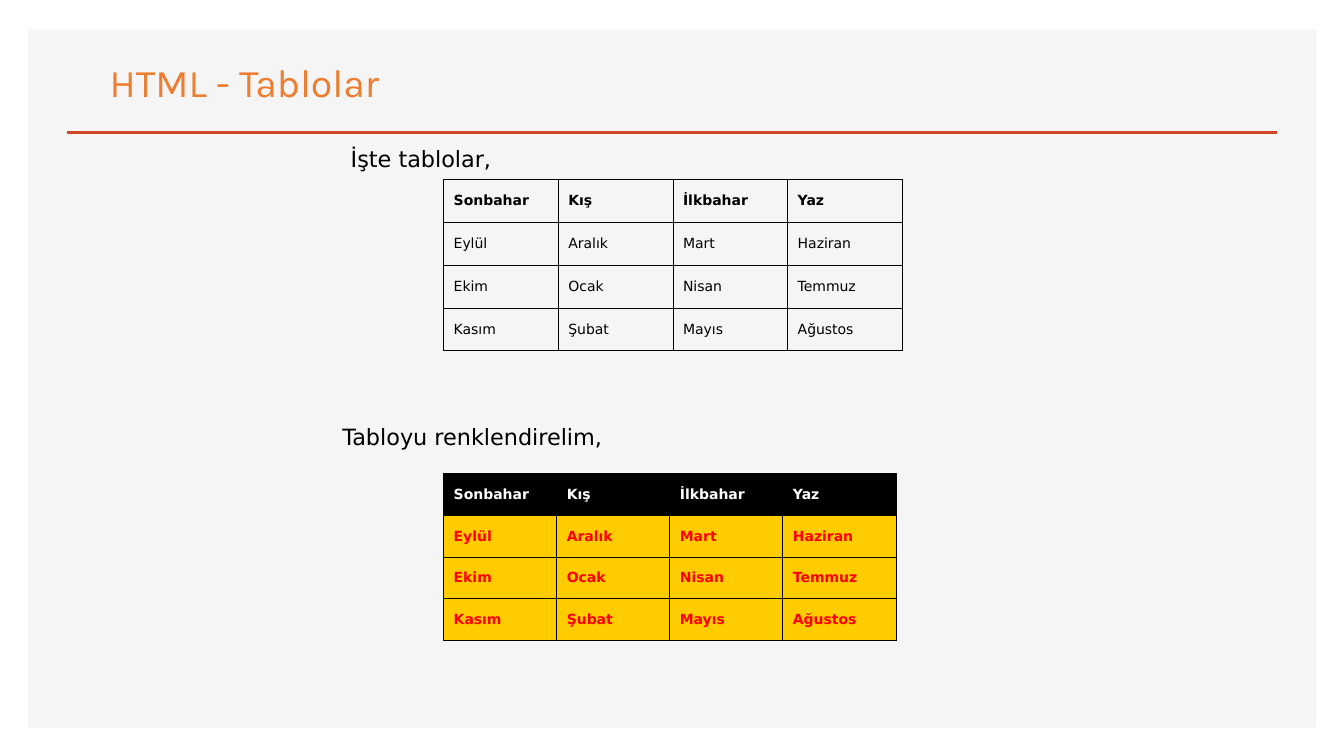
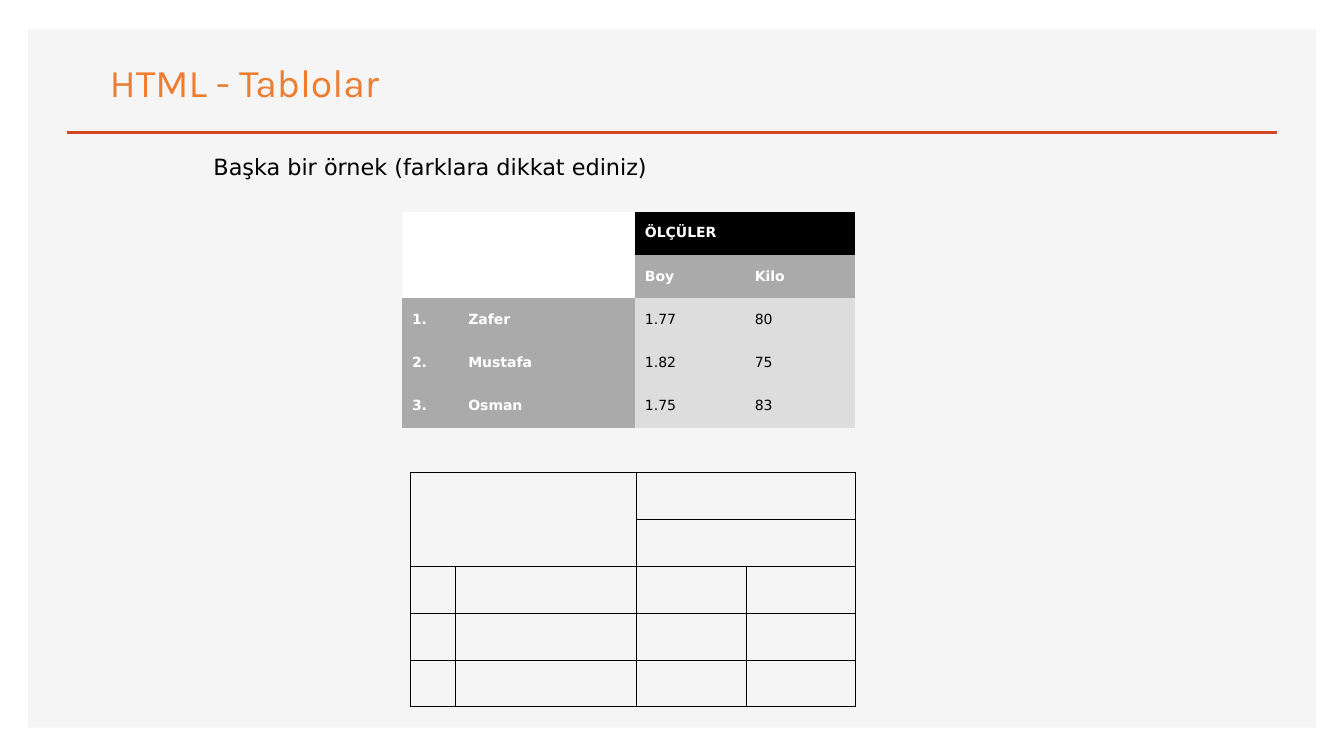
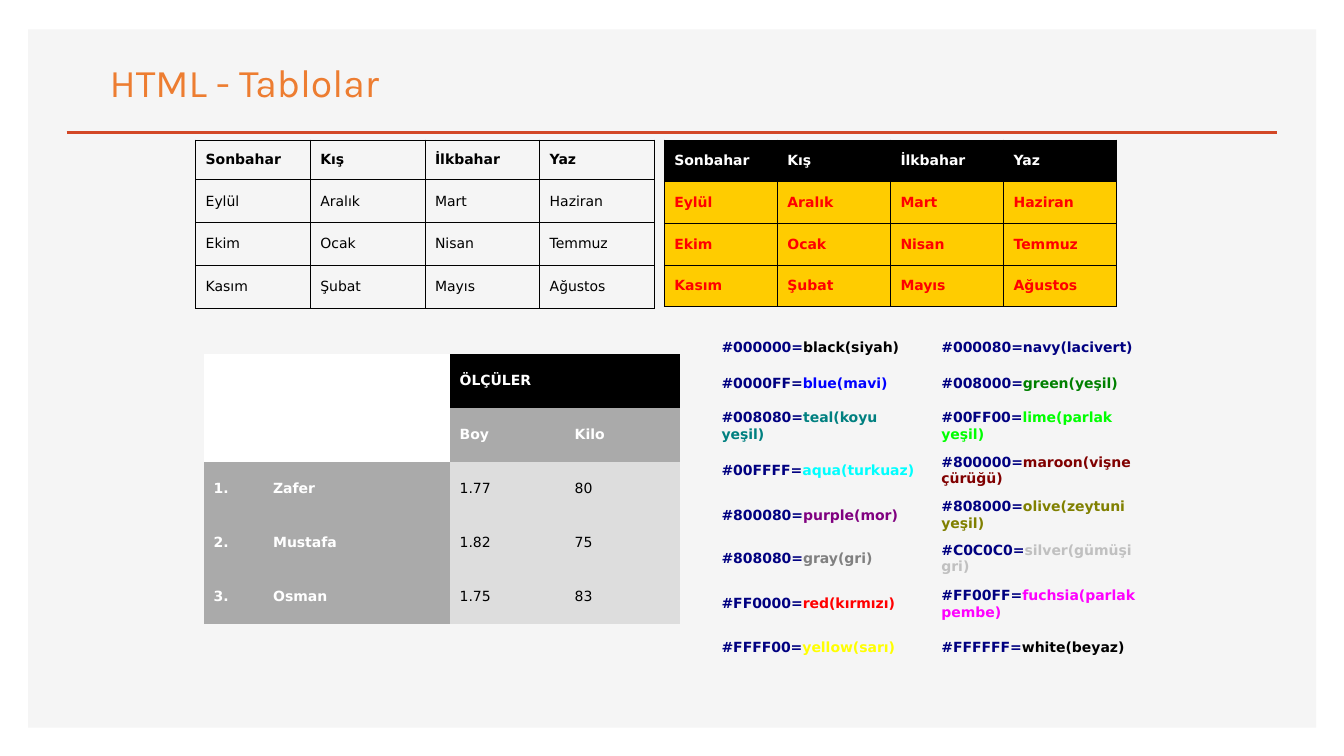
import dataclasses

import lxml.etree
import pptx
import pptx.dml.color
import pptx.enum.shapes
import pptx.enum.text
import pptx.oxml.ns
import pptx.util

Cm, Pt = pptx.util.Cm, pptx.util.Pt
rgb = pptx.dml.color.RGBColor.from_string
qn = pptx.oxml.ns.qn


@dataclasses.dataclass(frozen=True)
class Theme:
    panel: str = "F5F5F5"
    rule: str = "D24726"
    title: str = "ED7D31"
    ink: str = "000000"
    paper: str = "FFFFFF"
    code: str = "000080"
    accent: str = "FF0000"
    gold: str = "FFCC00"
    mid_gray: str = "AAAAAA"
    light_gray: str = "DDDDDD"
    title_font: str = "Karla"
    body_font: str = "DejaVu Sans"
    title_size: int = 28
    caption_size: int = 16
    cell_size: int = 10


T = Theme()

# Cell looks: fill, text colour, bold
LOOKS = {
    "plain": (None, T.ink, False),
    "plain head": (None, T.ink, True),
    "gold": (T.gold, T.accent, True),
    "black": (T.ink, T.paper, True),
    "white": (T.paper, T.ink, False),
    "gray": (T.mid_gray, T.paper, True),
    "light": (T.light_gray, T.ink, False),
    "code": (None, T.code, True),
}


def set_font(r, color, size, bold=False, name=T.body_font):
    for key, value in {"name": name, "size": Pt(size), "bold": bold}.items():
        setattr(r.font, key, value)
    r.font.color.rgb = rgb(color)


def add_table(s, left, top, widths, heights, texts, looks, merges=(), border=None,
              align=pptx.enum.text.PP_ALIGN.JUSTIFY):
    """Draw a grid; looks names a LOOKS entry per cell, merges lists corner pairs."""
    frame = s.shapes.add_table(len(heights), len(widths), Cm(left), Cm(top),
                               Cm(sum(widths)), Cm(sum(heights)))
    table = frame.table
    table.first_row = table.horz_banding = False
    for column, width in zip(table.columns, widths):
        column.width = Cm(width)
    for row, height in zip(table.rows, heights):
        row.height = Cm(height)
    for i, row in enumerate(table.rows):
        for j, cell in enumerate(row.cells):
            fill, color, bold = LOOKS[looks[i][j]]
            if fill:
                cell.fill.solid()
                cell.fill.fore_color.rgb = rgb(fill)
            else:
                cell.fill.background()
            cell.vertical_anchor = pptx.enum.text.MSO_ANCHOR.MIDDLE
            if texts[i][j]:
                p = cell.text_frame.paragraphs[0]
                p.alignment = align
                r = p.add_run()
                r.text = texts[i][j]
                set_font(r, color, T.cell_size, bold)
            tcPr = cell._tc.get_or_add_tcPr()
            for k, side in enumerate(("a:lnL", "a:lnR", "a:lnT", "a:lnB")):
                ln = lxml.etree.Element(qn(side), w=str(Pt(0.75)))
                if border:
                    solid = lxml.etree.SubElement(ln, qn("a:solidFill"))
                    lxml.etree.SubElement(solid, qn("a:srgbClr"), val=border)
                else:
                    lxml.etree.SubElement(ln, qn("a:noFill"))
                tcPr.insert(k, ln)
    for (r1, c1), (r2, c2) in merges:
        table.cell(r1, c1).merge(table.cell(r2, c2))
    return table


prs = pptx.Presentation()
prs.slide_width, prs.slide_height = Cm(33.87), Cm(19.05)
layout = prs.slide_layouts.get_by_name("Title Only")
title, *footers = layout.placeholders
for ph in footers:
    ph.element.getparent().remove(ph.element)
title.left, title.top, title.width, title.height = Cm(2.51), Cm(1.35), Cm(7.49), Cm(1.45)
slides = [prs.slides.add_slide(layout) for _ in range(3)]

# Panel and rule are drawn once, then moved to the layout behind its title
shapes = slides[0].shapes
panel = shapes.add_shape(pptx.enum.shapes.MSO_SHAPE.RECTANGLE,
                         Cm(0.71), Cm(0.74), Cm(32.46), Cm(17.6))
panel.shadow.inherit = False
panel.fill.solid()
panel.fill.fore_color.rgb = rgb(T.panel)
panel.line.fill.background()
rule = shapes.add_connector(pptx.enum.shapes.MSO_CONNECTOR.STRAIGHT,
                            Cm(1.68), Cm(3.33), Cm(32.18), Cm(3.33))
rule.line.color.rgb = rgb(T.rule)
rule.line.width = Pt(2)
lxml.etree.SubElement(rule.element.spPr, qn("a:effectLst"))
for position, sp in enumerate((panel, rule), start=2):
    layout.shapes.element.insert(position, sp.element)

for s in slides:
    tf = s.shapes.title.text_frame
    for key, value in {"word_wrap": False,
                       "auto_size": pptx.enum.text.MSO_AUTO_SIZE.SHAPE_TO_FIT_TEXT,
                       "vertical_anchor": pptx.enum.text.MSO_ANCHOR.TOP}.items():
        setattr(tf, key, value)
    p = tf.paragraphs[0]
    p.alignment = pptx.enum.text.PP_ALIGN.LEFT
    r = p.add_run()
    r.text = "HTML - Tablolar"
    set_font(r, T.title, T.title_size, name=T.title_font)

captions = [
    (0, 8.59, 3.53, 4.11, "İşte tablolar,"),
    (0, 8.38, 10.52, 7.42, "Tabloyu renklendirelim,"),
    (1, 5.13, 3.73, 11.96, "Başka bir örnek (farklara dikkat ediniz)"),
]
for index, left, top, width, text in captions:
    sp = slides[index].shapes.add_textbox(Cm(left), Cm(top), Cm(width), Cm(0.94))
    tf = sp.text_frame
    for key, value in {"word_wrap": False,
                       "auto_size": pptx.enum.text.MSO_AUTO_SIZE.SHAPE_TO_FIT_TEXT,
                       "vertical_anchor": pptx.enum.text.MSO_ANCHOR.MIDDLE}.items():
        setattr(tf, key, value)
    r = tf.paragraphs[0].add_run()
    r.text = text
    set_font(r, T.ink, T.caption_size)

# Season tables
seasons = [
    ["Sonbahar", "Kış", "İlkbahar", "Yaz"],
    ["Eylül", "Aralık", "Mart", "Haziran"],
    ["Ekim", "Ocak", "Nisan", "Temmuz"],
    ["Kasım", "Şubat", "Mayıs", "Ağustos"],
]
season_tables = [
    (0, 11.18, 4.52, 2.89, 1.08, 1.08, "plain head", "plain"),
    (0, 11.18, 11.94, 2.85, 1.05, 1.05, "black", "gold"),
    (2, 4.93, 3.53, 2.89, 1.0, 1.08, "plain head", "plain"),
    (2, 16.74, 3.53, 2.85, 1.05, 1.05, "black", "gold"),
]
for index, left, top, width, head_height, height, head, body in season_tables:
    add_table(slides[index], left, top, [width] * 4, [head_height] + [height] * 3,
              seasons, [[head] * 4] + [[body] * 4] * 3, border=T.ink)

# Measurement tables
measures = [
    ["", "", "ÖLÇÜLER", ""],
    ["", "", "Boy", "Kilo"],
    ["1.", "Zafer", "1.77", "80"],
    ["2.", "Mustafa", "1.82", "75"],
    ["3.", "Osman", "1.75", "83"],
]
measure_looks = [
    ["white", "white", "black", "black"],
    ["white", "white", "gray", "gray"],
] + [["gray", "gray", "light", "light"]] * 3
measure_merges = [((0, 0), (0, 1)), ((0, 2), (0, 3)), ((1, 0), (1, 1))]
for index, left, top, widths, height in [
    (1, 10.13, 5.33, [1.42, 4.45, 2.77, 2.77], 1.09),
    (2, 5.13, 8.92, [1.5, 4.7, 2.9, 2.9], 1.36),
]:
    add_table(slides[index], left, top, widths, [height] * 5,
              measures, measure_looks, measure_merges)
add_table(slides[1], 10.34, 11.91, [1.14, 4.57, 2.75, 2.75], [1.18] * 5,
          [[""] * 4] * 5, [["plain"] * 4] * 5,
          [((0, 0), (1, 1)), ((0, 2), (0, 3)), ((1, 2), (1, 3))], border=T.ink)

# Colour names, each written in its own colour
color_names = [
    [("000000", "black(siyah)"), ("000080", "navy(lacivert)")],
    [("0000FF", "blue(mavi)"), ("008000", "green(yeşil)")],
    [("008080", "teal(koyu yeşil)"), ("00FF00", "lime(parlak yeşil)")],
    [("00FFFF", "aqua(turkuaz)"), ("800000", "maroon(vişne çürüğü)")],
    [("800080", "purple(mor)"), ("808000", "olive(zeytuni yeşil)")],
    [("808080", "gray(gri)"), ("C0C0C0", "silver(gümüşi gri)")],
    [("FF0000", "red(kırmızı)"), ("FF00FF", "fuchsia(parlak pembe)")],
    [("FFFF00", "yellow(sarı)"), ("FFFFFF", "white(beyaz)")],
]
codes = [[f"#{code}=" for code, _ in row] for row in color_names]
table = add_table(slides[2], 17.93, 8.33, [5.54, 5.66],
                  [0.84, 1.02, 1.09, 1.14, 1.09, 1.09, 1.17, 1.02],
                  codes, [["code"] * 2] * 8, align=pptx.enum.text.PP_ALIGN.LEFT)
for i, row in enumerate(color_names):
    for j, (code, name) in enumerate(row):
        r = table.cell(i, j).text_frame.paragraphs[0].add_run()
        r.text = name
        set_font(r, T.ink if code == T.paper else code, T.cell_size, bold=True)

prs.save("out.pptx")
